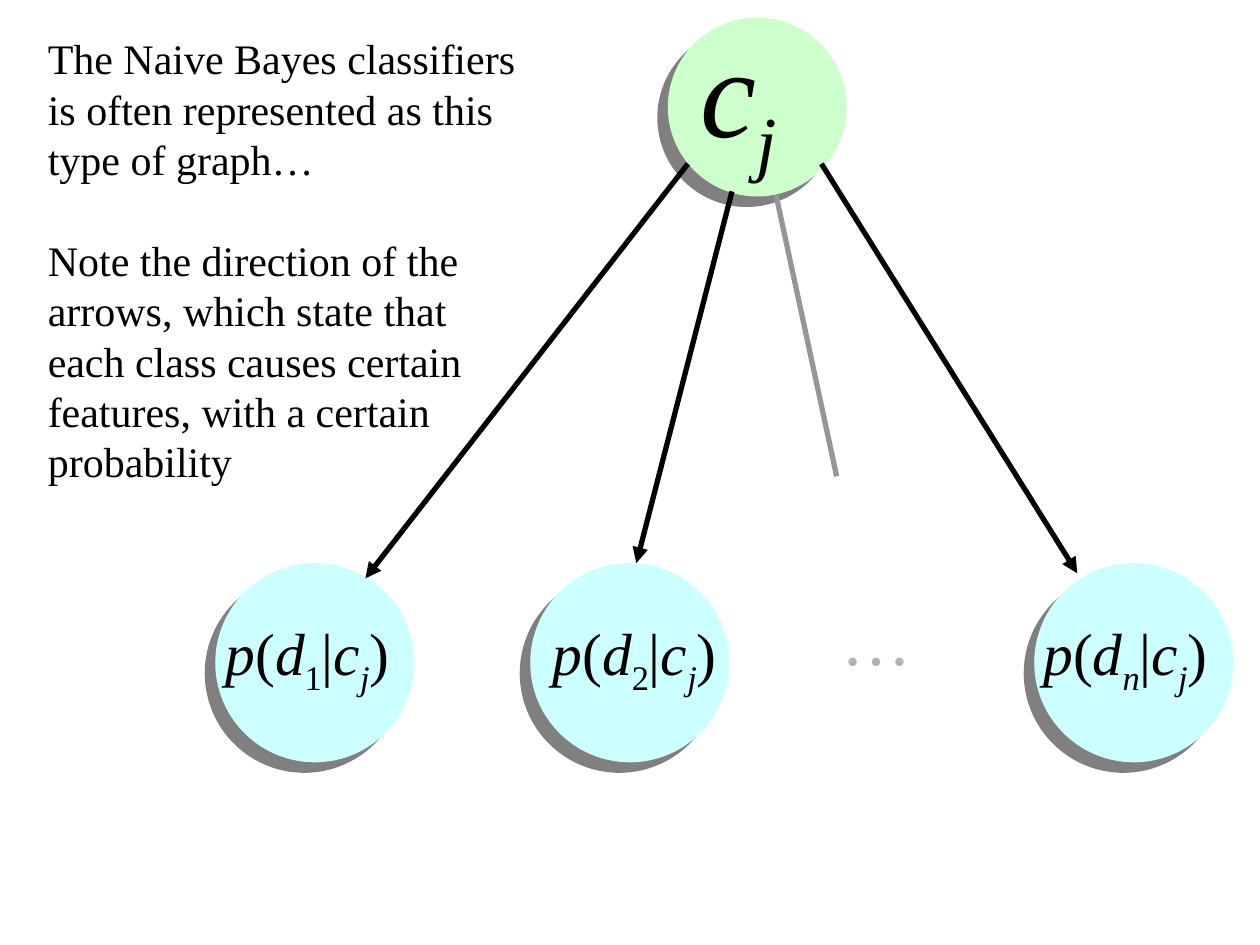
from lxml import etree
from pptx import Presentation
from pptx import util as u
from pptx.dml.color import RGBColor
from pptx.enum import shapes, text
from pptx.oxml import ns

Pt = u.Pt
COLORS = {
    "ink": "000000",
    "class": "CCFFCC",
    "feature": "CCFFFF",
    "shadow": "808080",
    "faded line": "969696",
    "faded text": "B2B2B2",
}


def rgb(name):
    return RGBColor.from_string(COLORS[name])


def add_xml(parent, tag, **attributes):
    return etree.SubElement(parent, ns.qn(tag), attributes)


def write(paragraph, content, *, font, size, color="ink", italic=False, subscript=False):
    run = paragraph.add_run()
    run.text = content
    run.font.name = font
    run.font.size = Pt(size)
    run.font.italic = italic
    run.font.color.rgb = rgb(color)
    if subscript:
        run._r.get_or_add_rPr().set("baseline", "-25000")


class Graph:
    font = "Times New Roman"
    line_width = 3

    def __init__(self, slide):
        self.slide = slide

    def node(self, left, top, size, color):
        circle = self.slide.shapes.add_shape(
            shapes.MSO_SHAPE.OVAL, Pt(left), Pt(top), Pt(size), Pt(size))
        circle.fill.solid()
        circle.fill.fore_color.rgb = rgb(color)
        circle.line.fill.background()
        # Hard shadow towards the lower left
        circle.shadow.inherit = False
        effects = circle._element.spPr.find(ns.qn("a:effectLst"))
        shadow = add_xml(effects, "a:outerShdw", dist=str(Pt(8.5)),
                         dir=str(135 * 60000), algn="ctr", rotWithShape="0")
        add_xml(shadow, "a:srgbClr", val=COLORS["shadow"])

    def edge(self, start, end, color="ink", arrow=True):
        edge = self.slide.shapes.add_connector(
            shapes.MSO_CONNECTOR.STRAIGHT, *map(Pt, start + end))
        edge.line.width = Pt(self.line_width)
        edge.line.color.rgb = rgb(color)
        if arrow:
            add_xml(edge.line._get_or_add_ln(), "a:tailEnd", type="triangle")
        add_xml(edge._element.spPr, "a:effectLst")

    def text_box(self, left, top, width, height, paragraphs, *, size, color="ink",
                 wrap=True, grow=True, gap=0, inset=7.2, tabs=()):
        """Each paragraph is a list of (text, italic, subscript) runs."""
        box = self.slide.shapes.add_textbox(Pt(left), Pt(top), Pt(width), Pt(height))
        frame = box.text_frame
        frame.word_wrap = wrap
        frame.margin_left = Pt(inset)
        if grow:
            frame.auto_size = text.MSO_AUTO_SIZE.SHAPE_TO_FIT_TEXT
        for index, runs in enumerate(paragraphs):
            paragraph = frame.add_paragraph() if index else frame.paragraphs[0]
            if index:
                paragraph.space_before = Pt(gap)
            if tabs:
                stops = add_xml(paragraph._p.get_or_add_pPr(), "a:tabLst")
                for stop in tabs:
                    add_xml(stops, "a:tab", pos=str(Pt(stop)), algn="l")
            for content, italic, subscript in runs:
                write(paragraph, content, font=self.font, size=size, color=color,
                      italic=italic, subscript=subscript)


def probability(index):
    """Runs for p(d_index|c_j)."""
    return [("p", True, False), ("(", False, False), ("d", True, False),
            (index, index.isalpha(), True), ("|", False, False),
            ("c", True, False), ("j", True, True), (")", False, False)]


def main():
    deck = Presentation()
    deck.slide_width, deck.slide_height = Pt(720), Pt(540)
    graph = Graph(deck.slides.add_slide(deck.slide_layouts[6]))

    # Feature and class nodes
    for left in (303, 591, 123):
        graph.node(left, 321.8, 113.8, "feature")
    graph.node(381.6, 10.1, 102.2, "class")

    # Feature labels, one per tab stop
    tab = [("\t", False, False)]
    labels = probability("1") + tab + probability("2") + tab + probability("n")
    graph.text_box(85.7, 348.5, 634, 77.8, [labels], size=34, grow=False,
                   inset=43.2, tabs=(186.9, 467.4))

    # Class label
    graph.text_box(393.1, 2.9, 59.8, 93.6, [[("c", True, False), ("j", True, True)]],
                   size=72, wrap=False)

    # Explanation
    notes = (
        "The Naive Bayes classifiers is often represented as this type of graph…",
        "Note the direction of the arrows, which state that each class causes "
        "certain features, with a certain probability",
    )
    graph.text_box(20.2, 15.1, 287.3, 323.3, [[(note, False, False)] for note in notes],
                   size=24, gap=28.8)

    # Edges from the class to its features
    graph.edge((393.1, 93.6), (208.8, 330.5))
    graph.edge((469.4, 93.6), (615.6, 327.6))
    graph.edge((418.3, 109.4), (363.6, 321.8))

    # Features left out
    graph.edge((443.5, 111.6), (478.1, 272.2), color="faded line", arrow=False)
    graph.text_box(473.8, 337, 54.7, 55.4, [[("…", False, False)]], size=40,
                   color="faded text", wrap=False)

    deck.save("out.pptx")


if __name__ == "__main__":
    main()
